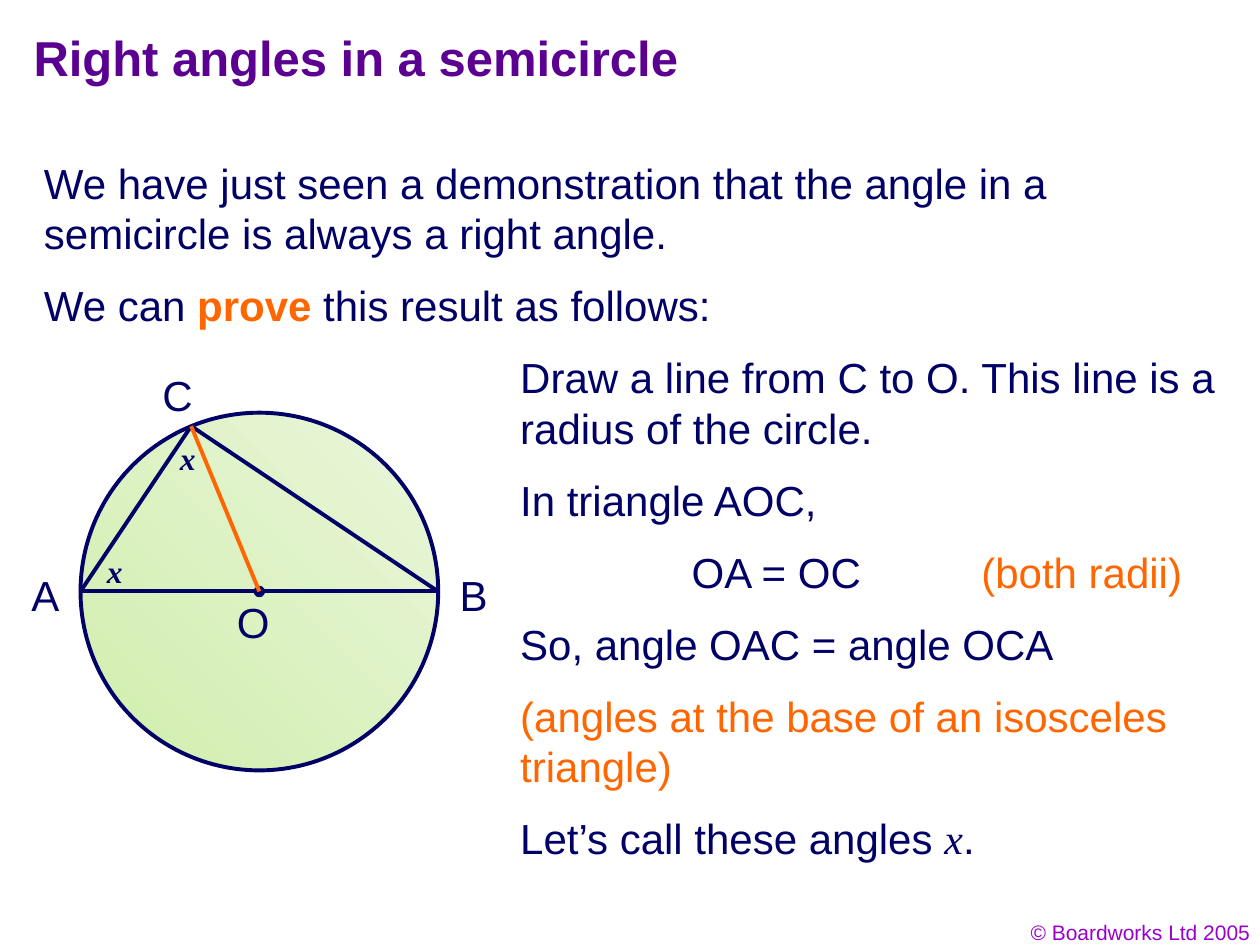
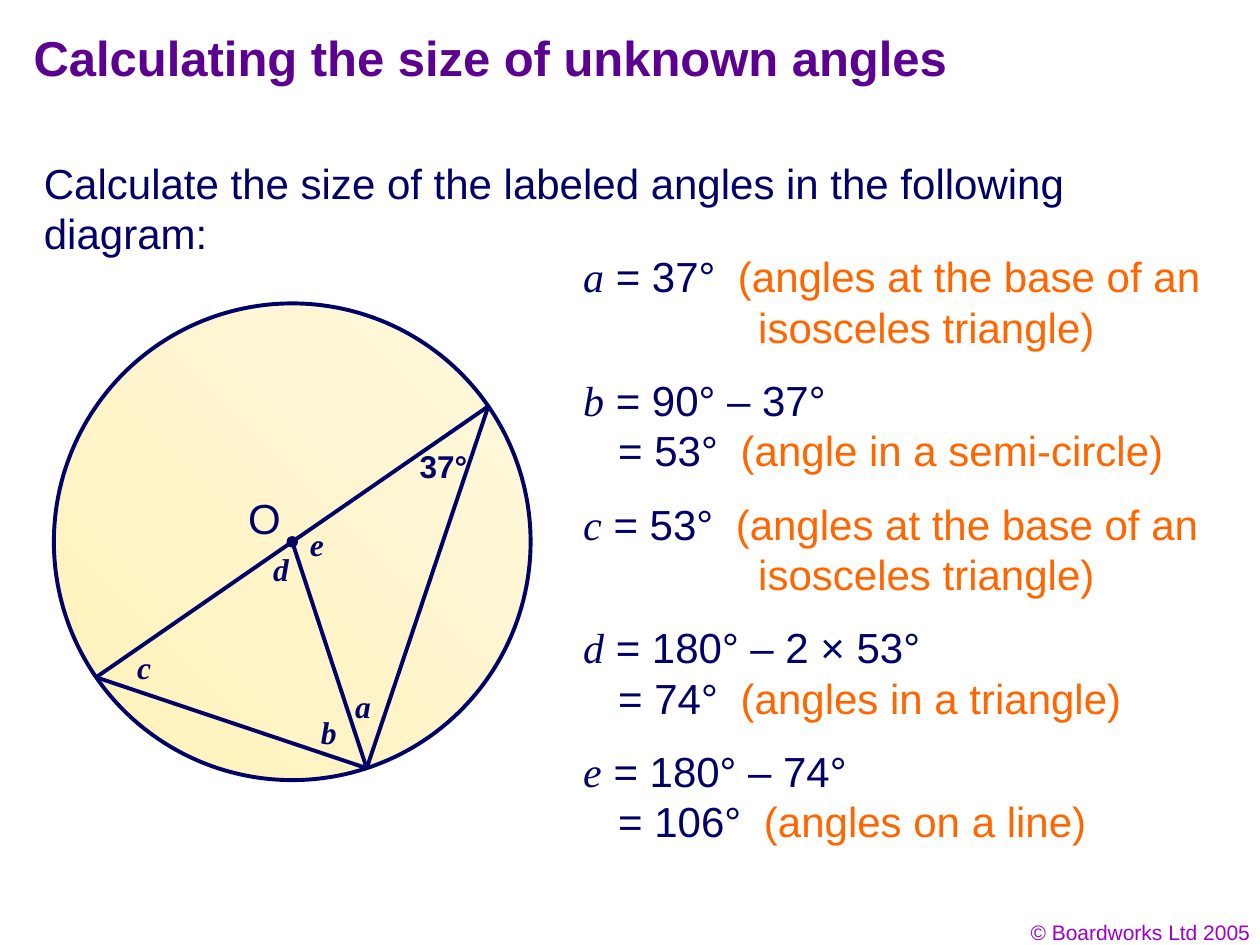
from math import cos, radians, sin

from lxml import etree
from pptx import Presentation
from pptx.dml.color import RGBColor
from pptx.enum.shapes import MSO_CONNECTOR, MSO_SHAPE
from pptx.enum.text import MSO_ANCHOR, PP_ALIGN
from pptx.oxml.ns import qn
from pptx.util import Pt

LEFT, MID, RIGHT = PP_ALIGN.LEFT, PP_ALIGN.CENTER, PP_ALIGN.RIGHT
TOP, CENTRE = MSO_ANCHOR.TOP, MSO_ANCHOR.MIDDLE
OVAL, STRAIGHT = MSO_SHAPE.OVAL, MSO_CONNECTOR.STRAIGHT

INK = RGBColor(0x01, 0x00, 0x66)
NAVY = RGBColor(0x00, 0x00, 0x66)
ORANGE = RGBColor(0xFF, 0x66, 0x00)
PURPLE = RGBColor(0x5B, 0x00, 0x91)
VIOLET = RGBColor(0x99, 0x00, 0xCC)
GREENS = RGBColor(0xEA, 0xF6, 0xDB), RGBColor(0xD0, 0xEE, 0xAC)
CREAMS = RGBColor(0xFE, 0xF8, 0xDE), RGBColor(0xFF, 0xF2, 0xB9)

SANS, SERIF = "Arial", "Times New Roman"
PLAIN = {}
NOTE = {"color": ORANGE}
KEY = {"color": ORANGE, "bold": True}
VAR = {"font": SERIF, "italic": True}
MARK = {"size": 18, "bold": True}
ANGLE = {**MARK, **VAR}

FOOTER = "© Boardworks Ltd 2005"
LEAD = 1.2
SIZE = 24


def para(*runs, tabs=(), lines=1):
    return {"runs": runs, "tabs": tabs, "lines": lines}


def equals(name, value, stop=None, note=None):
    if note is None:
        return para((name, VAR), (f" = {value}", PLAIN))
    return para((name, VAR), (f" = {value}\t", PLAIN), (note, NOTE), tabs=[stop])


def result(value, stop, note):
    return para((f"\t= {value}\t", PLAIN), (note, NOTE), tabs=[20, stop])


BASE = "(angles at the base of an"
REST = para(("\tisosceles triangle)", NOTE), tabs=[100])

SLIDES = [
    {
        "title": "Right angles in a semicircle",
        "stacks": [
            {"at": (18, 86.4), "width": 688, "gap": 12.4, "boxes": [
                [para(("We have just seen a demonstration that the angle in a "
                       "semicircle is always a right angle.", PLAIN), lines=2)],
                [para(("We can ", PLAIN), ("prove", KEY),
                      (" this result as follows:", PLAIN))],
            ]},
            {"at": (290.2, 197.4), "width": 421, "gap": 12.4, "boxes": [
                [para(("Draw a line from C to O. This line is a radius of the circle.",
                       PLAIN), lines=2)],
                [para(("In triangle AOC,", PLAIN))],
                [para(("\tOA = OC\t", PLAIN), ("(both radii)", NOTE), tabs=[98, 263.5])],
                [para(("So, angle OAC = angle OCA", PLAIN))],
                [para(("(angles at the base of an isosceles triangle)", NOTE), lines=2)],
                [para(("Let’s call these angles ", PLAIN), ("x", VAR), (".", PLAIN))],
            ]},
        ],
        "circle": {"hub": (148.2, 338), "radius": 102.2, "tints": GREENS},
        "points": {"A": 180, "B": 0, "C": 112.4},
        "lines": [("A", "B", NAVY), ("A", "C", NAVY), ("C", "B", NAVY),
                  ("C", "O", ORANGE)],
        "labels": [("A", 25.9, 339.8, PLAIN), ("B", 270.7, 339.8, PLAIN),
                   ("C", 101.5, 225.4, PLAIN), ("O", 144.7, 355, PLAIN),
                   ("x", 107.3, 261.4, ANGLE), ("x", 65.5, 326.2, ANGLE)],
    },
    {
        "title": "Calculating the size of unknown angles",
        "stacks": [
            {"at": (18, 86.4), "width": 688, "gap": 12.4, "boxes": [
                [para(("Calculate the size of the labeled angles in the following "
                       "diagram:", PLAIN), lines=2)],
            ]},
            {"at": (326.2, 139.7), "width": 382, "gap": 13.1, "boxes": [
                [equals("a", "37°", 88.4, BASE), REST],
                [equals("b", "90° – 37°"),
                 result("53°", 90, "(angle in a semi-circle)")],
                [equals("c", "53°", 87.2, BASE), REST],
                [equals("d", "180° – 2 × 53°"),
                 result("74°", 90, "(angles in a triangle)")],
                [equals("e", "180° – 74°"),
                 result("106°", 103.3, "(angles on a line)")],
            ]},
        ],
        "circle": {"hub": (167, 309.6), "radius": 136.2, "tints": CREAMS},
        "points": {"P": 34.65, "Q": 214.65, "R": -71.8},
        "lines": [("Q", "P", NAVY), ("P", "R", NAVY), ("Q", "R", NAVY),
                  ("O", "R", NAVY)],
        "labels": [("O", 151.2, 295.9, PLAIN), ("37°", 253.4, 266.4, MARK),
                   ("a", 207.4, 403.2, ANGLE), ("b", 187.9, 418.3, ANGLE),
                   ("c", 82.4, 381, ANGLE), ("d", 160.6, 325.4, ANGLE),
                   ("e", 181, 311, ANGLE)],
    },
]


def add_run(line, text, font=SANS, size=SIZE, color=INK, bold=False, italic=False):
    run = line.add_run()
    run.text = text
    run.font.name = font
    run.font.size = Pt(size)
    run.font.color.rgb = color
    run.font.bold = bold
    run.font.italic = italic


def set_tabs(line, stops):
    if stops:
        group = etree.SubElement(line._p.get_or_add_pPr(), qn("a:tabLst"))
        for stop in stops:
            etree.SubElement(group, qn("a:tab"), pos=str(Pt(stop)), algn="l")


def write(shape, paras, align=LEFT, anchor=TOP, inset=7.2, size=SIZE):
    frame = shape.text_frame
    frame.word_wrap = True
    frame.vertical_anchor = anchor
    frame.margin_left = frame.margin_right = Pt(inset)
    frame.margin_top = frame.margin_bottom = Pt(3.6)
    for i, part in enumerate(paras):
        line = frame.paragraphs[0] if i == 0 else frame.add_paragraph()
        line.alignment = align
        line.space_before = line.space_after = Pt(0)
        line.line_spacing = Pt(size * LEAD)
        set_tabs(line, part["tabs"])
        for text, style in part["runs"]:
            add_run(line, text, **{"size": size, **style})


def add_box(slide, x, y, width, height, paras, **style):
    box = slide.shapes.add_textbox(Pt(x), Pt(y), Pt(width), Pt(height))
    write(box, paras, **style)


def add_frame(slide, title):
    head = slide.shapes.title
    head.left, head.top, head.width, head.height = Pt(12), Pt(12), Pt(612), Pt(48)
    write(head, [para((title, {"color": PURPLE, "bold": True}))], size=28)
    add_box(slide, 553.5, 522, 168, 21.6, [para((FOOTER, {"color": VIOLET}))],
            align=RIGHT, size=12)


def add_stack(slide, at, width, gap, boxes):
    x, y = at
    for paras in boxes:
        height = SIZE * LEAD * sum(part["lines"] for part in paras)
        add_box(slide, x, y, width, height + 7.2, paras)
        y += height + gap


def add_disc(slide, hub, radius, weight):
    x, y = hub
    disc = slide.shapes.add_shape(OVAL, Pt(x - radius), Pt(y - radius),
                                  Pt(2 * radius), Pt(2 * radius))
    disc.shadow.inherit = False
    disc.line.color.rgb = NAVY
    disc.line.width = Pt(weight)
    return disc


def add_line(slide, start, end, color):
    line = slide.shapes.add_connector(STRAIGHT, *map(Pt, start + end))
    line.line.color.rgb = color
    line.line.width = Pt(2.25)
    etree.SubElement(line._element.spPr, qn("a:effectLst"))


def add_circle(slide, hub, radius, tints):
    fill = add_disc(slide, hub, radius, 2.25).fill
    fill.gradient()
    fill.gradient_angle = 225
    for i, (stop, tint) in enumerate(zip(fill.gradient_stops, tints)):
        stop.color.rgb = tint
        stop.position = i


def add_figure(slide, circle, points, lines, labels):
    add_circle(slide, **circle)
    (x, y), radius = circle["hub"], circle["radius"]
    spots = {name: (x + radius * cos(radians(turn)), y - radius * sin(radians(turn)))
             for name, turn in points.items()}
    spots["O"] = x, y
    dot = add_disc(slide, (x, y), 2.9, 0.75)
    dot.fill.solid()
    dot.fill.fore_color.rgb = NAVY
    for start, end, color in lines:
        add_line(slide, spots[start], spots[end], color)
    for text, left, top, style in labels:
        add_box(slide, left - 20, top - 18, 40, 36, [para((text, style))],
                align=MID, anchor=CENTRE, inset=0, size=style.get("size", SIZE))


def main():
    deck = Presentation()
    deck.slide_width, deck.slide_height = Pt(720), Pt(540)
    for page in SLIDES:
        slide = deck.slides.add_slide(deck.slide_layouts[5])
        add_frame(slide, page["title"])
        for stack in page["stacks"]:
            add_stack(slide, **stack)
        add_figure(slide, page["circle"], page["points"], page["lines"], page["labels"])
    deck.save("out.pptx")


if __name__ == "__main__":
    main()
